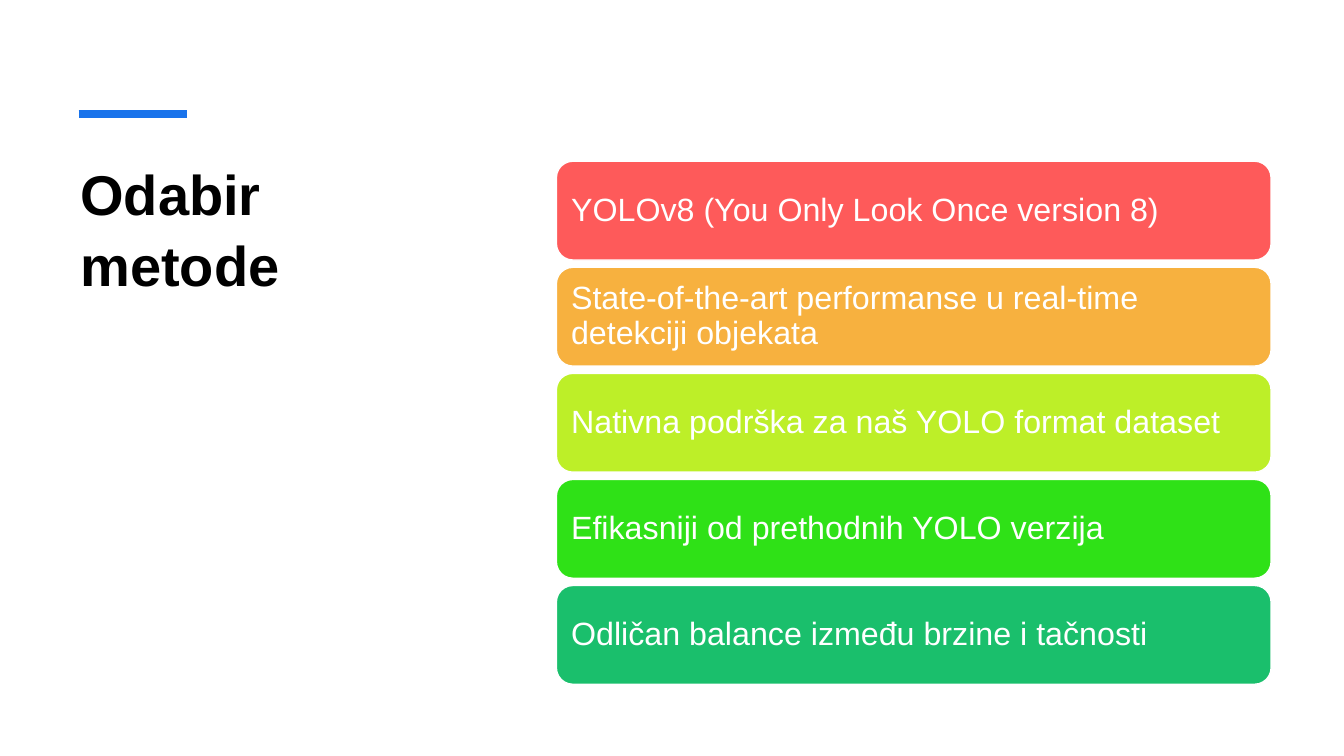
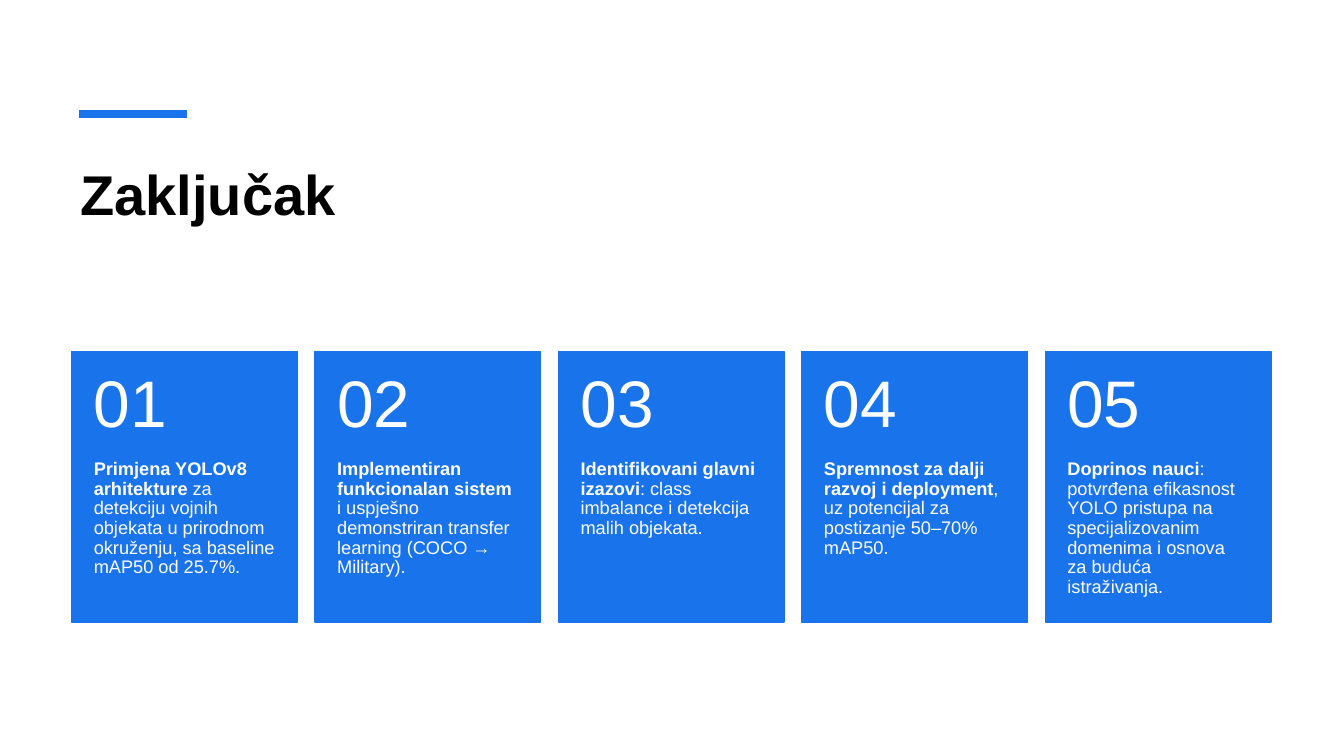
from lxml import etree
from pptx import Presentation, util as u
from pptx.dml.color import RGBColor
from pptx.enum import shapes, text
from pptx.oxml import ns

# Shared style
BLUE = RGBColor(0x19, 0x73, 0xEB)
BLACK = RGBColor(0x00, 0x00, 0x00)
WHITE = RGBColor(0xFF, 0xFF, 0xFF)
RED = RGBColor(0xFE, 0x5A, 0x5A)
ORANGE = RGBColor(0xF7, 0xB1, 0x3F)
LIME = RGBColor(0xBD, 0xEF, 0x28)
GREEN = RGBColor(0x2F, 0xE1, 0x17)
TEAL = RGBColor(0x1A, 0xBF, 0x6C)

FONT = "Arial"
TOP, MIDDLE = text.MSO_ANCHOR.TOP, text.MSO_ANCHOR.MIDDLE
RECT = shapes.MSO_SHAPE.RECTANGLE
ROUNDED = shapes.MSO_SHAPE.ROUNDED_RECTANGLE


class Deck:
    """Style and current slide; lengths are percent of the slide's size."""

    def __init__(self):
        self.prs = Presentation()
        self.prs.slide_width, self.prs.slide_height = u.Inches(13.33), u.Inches(7.5)
        self.s = None

    def x(self, share):
        return round(self.prs.slide_width * share / 100)

    def y(self, share):
        return round(self.prs.slide_height * share / 100)

    def box(self, left, top, width, height):
        return self.x(left), self.y(top), self.x(width), self.y(height)

    def slide(self, title, width, height):
        self.s = self.prs.slides.add_slide(self.prs.slide_layouts[6])
        self.accent()
        self.label(5.25, 20, width, height, [(title, True)], 40, color=BLACK,
                   insets=(0.1, 0.05, 0.1, 0.05), spacing=1.05)

    def accent(self):
        line = self.s.shapes.add_connector(
            shapes.MSO_CONNECTOR.STRAIGHT,
            self.x(5.85), self.y(15.07), self.x(13.88), self.y(15.07))
        line.line.color.rgb = BLUE
        line.line.width = u.Pt(6)
        etree.SubElement(line._element.spPr, ns.qn("a:effectLst"))

    def shape(self, kind, left, top, width, height, fill, outline):
        sp = self.s.shapes.add_shape(kind, *self.box(left, top, width, height))
        sp.shadow.inherit = False
        sp.fill.solid()
        sp.fill.fore_color.rgb = fill
        sp.line.color.rgb = outline
        sp.line.width = u.Pt(1)
        return sp

    def label(self, left, top, width, height, runs, size, **style):
        sp = self.s.shapes.add_textbox(*self.box(left, top, width, height))
        self.fill_text(sp, runs, size, **style)

    def fill_text(self, sp, runs, size, color=WHITE, anchor=TOP,
                  insets=(0.1, 0.1, 0.1, 0.1), spacing=0.9):
        tf = sp.text_frame
        frame = {"word_wrap": True, "vertical_anchor": anchor}
        sides = ("margin_left", "margin_top", "margin_right", "margin_bottom")
        frame.update(zip(sides, map(u.Inches, insets)))
        for name, value in frame.items():
            setattr(tf, name, value)
        p = tf.paragraphs[0]
        p.alignment, p.line_spacing = text.PP_ALIGN.LEFT, spacing
        for words, bold in runs:
            r = p.add_run()
            r.text = words
            for name, value in {"name": FONT, "size": u.Pt(size), "bold": bold}.items():
                setattr(r.font, name, value)
            r.font.color.rgb = color

    def bar(self, row, words, fill):
        sp = self.shape(ROUNDED, 41.4, 21.33 + 14.03 * row, 53.18, 13.07, fill, WHITE)
        self.fill_text(sp, [(words, False)], 23, anchor=MIDDLE)

    def card(self, column, lead, rest):
        left, top, width, head, body = 5.33 + 18.11 * column, 46.53, 16.8, 14.27, 21.47
        self.shape(RECT, left, top, width, head + body, BLUE, BLUE)
        self.label(left, top + head, width, body, [(lead, True), (rest, False)], 13,
                   insets=(0.22, 0, 0.22, 0.36))
        self.label(left, top, width, head, [(f"{column + 1:02d}", False)], 47,
                   anchor=MIDDLE, insets=(0.22, 0.18, 0.22, 0.18))


# Content
REASONS = [
    ("YOLOv8 (You Only Look Once version 8)", RED),
    ("State-of-the-art performanse u real-time detekciji objekata", ORANGE),
    ("Nativna podrška za naš YOLO format dataset", LIME),
    ("Efikasniji od prethodnih YOLO verzija", GREEN),
    ("Odličan balance između brzine i tačnosti", TEAL),
]
CONCLUSIONS = [
    ("Primjena YOLOv8 arhitekture",
     " za detekciju vojnih objekata u prirodnom okruženju, sa baseline mAP50 od 25.7%."),
    ("Implementiran funkcionalan sistem",
     " i uspješno demonstriran transfer learning (COCO → Military)."),
    ("Identifikovani glavni izazovi",
     ": class imbalance i detekcija malih objekata."),
    ("Spremnost za dalji razvoj i deployment",
     ", uz potencijal za postizanje 50–70% mAP50."),
    ("Doprinos nauci",
     ": potvrđena efikasnost YOLO pristupa na specijalizovanim domenima"
     " i osnova za buduća istraživanja."),
]


def main():
    deck = Deck()

    # Choice of method
    deck.slide("Odabir metode", 30.15, 57.2)
    for row, (words, fill) in enumerate(REASONS):
        deck.bar(row, words, fill)

    # Conclusion
    deck.slide("Zaključak", 89.33, 16)
    for column, (lead, rest) in enumerate(CONCLUSIONS):
        deck.card(column, lead, rest)

    deck.prs.save("out.pptx")


if __name__ == "__main__":
    main()
